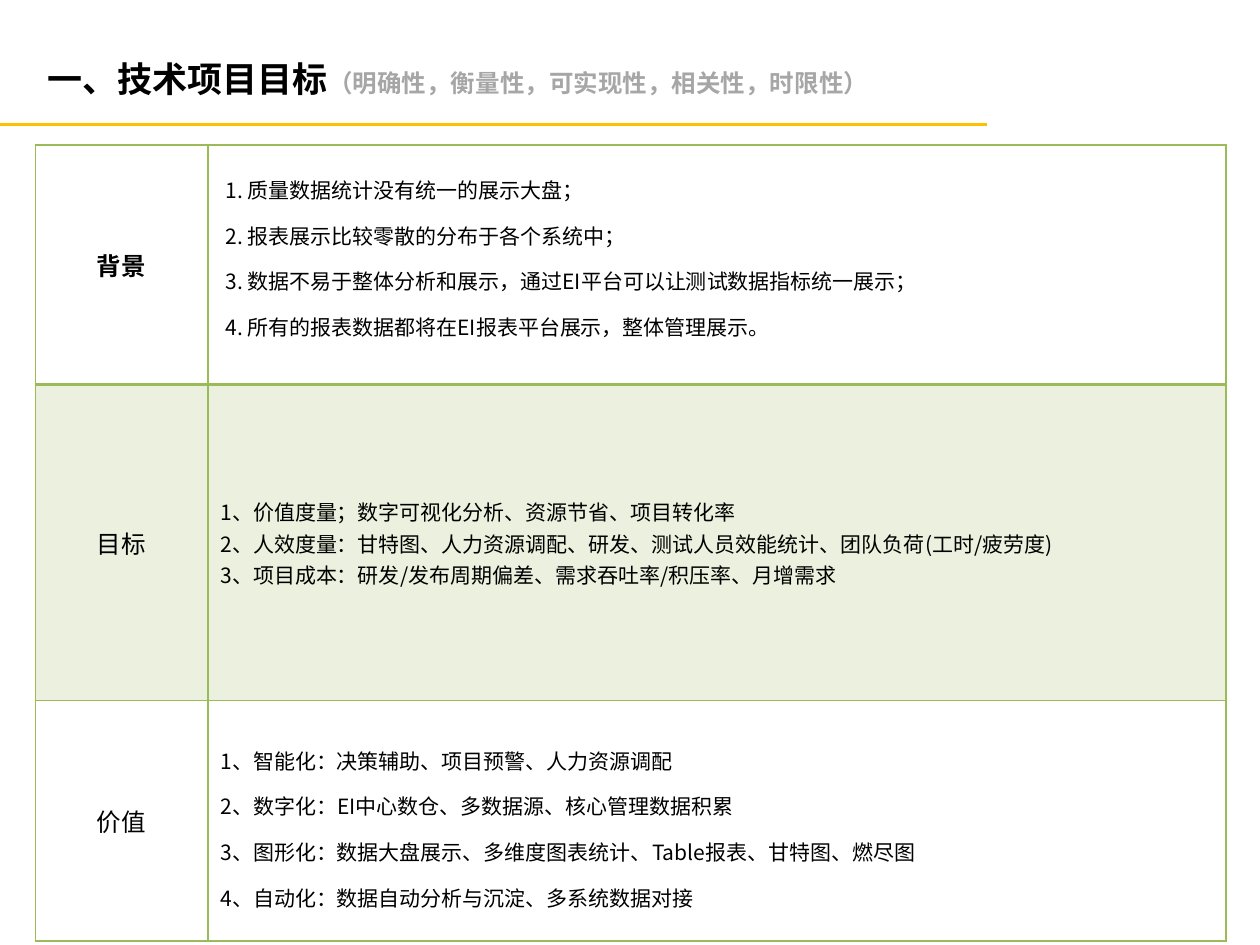
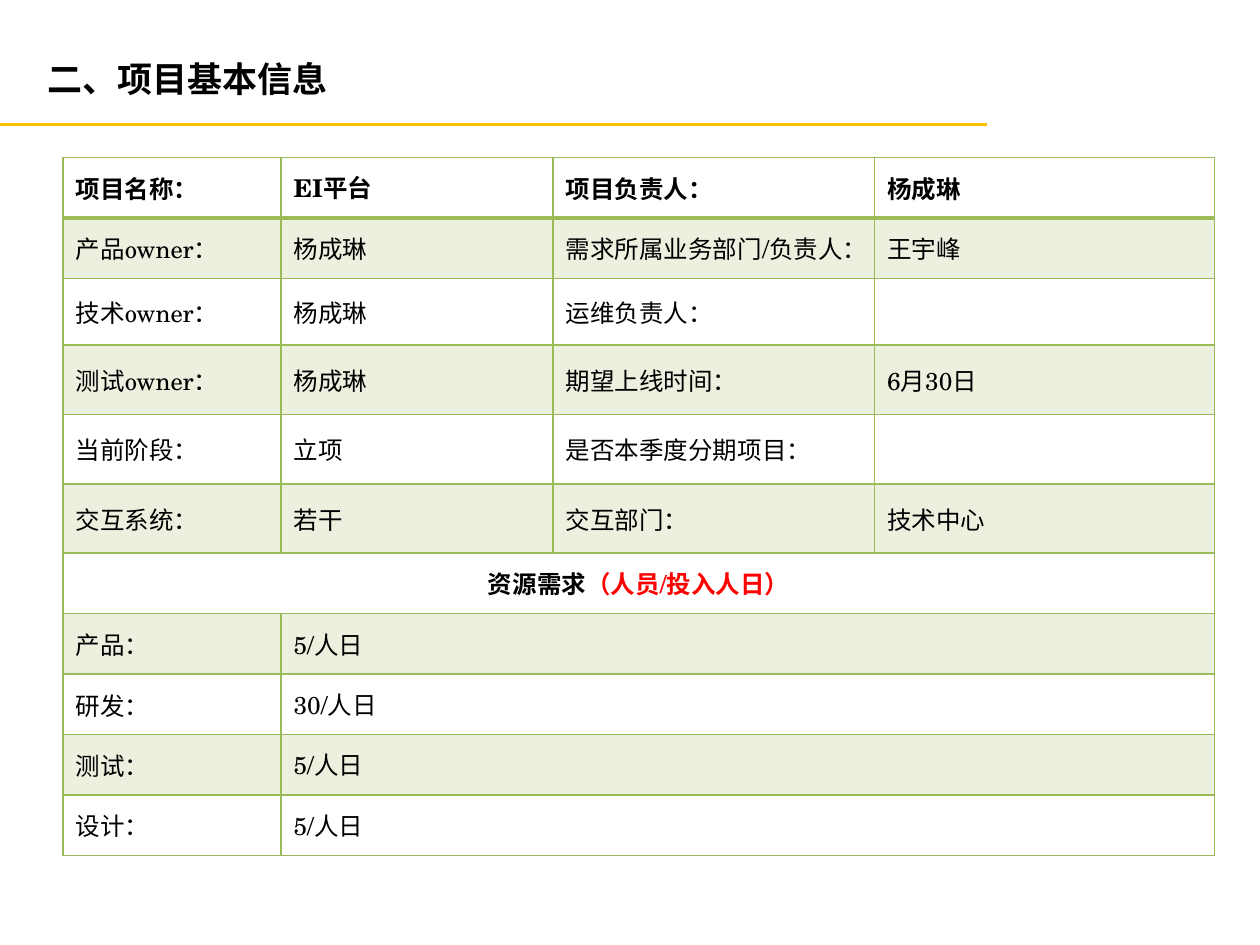
from lxml import etree
from pptx import Presentation
from pptx.dml.color import RGBColor
from pptx.enum.shapes import MSO_CONNECTOR
from pptx.enum.text import MSO_ANCHOR, PP_ALIGN
from pptx.oxml.ns import qn
from pptx.util import Inches, Pt

STRAIGHT = MSO_CONNECTOR.STRAIGHT
MIDDLE = MSO_ANCHOR.MIDDLE
LEFT, CENTER = PP_ALIGN.LEFT, PP_ALIGN.CENTER

BLACK = RGBColor(0x00, 0x00, 0x00)
WHITE = RGBColor(0xFF, 0xFF, 0xFF)
GREY = RGBColor(0xA6, 0xA6, 0xA6)
RED = RGBColor(0xFF, 0x00, 0x00)
AMBER = RGBColor(0xFF, 0xC0, 0x00)
GREEN = RGBColor(0x9B, 0xBB, 0x59)
PALE_GREEN = RGBColor(0xEB, 0xF1, 0xDE)

SANS = "Noto Sans CJK SC"
SERIF = "TeX Gyre Schola"
SLIDE_WIDTH, SLIDE_HEIGHT = Inches(10), Inches(7.5)
THIN, HEAVY = Pt(1), Pt(2)

# Slide 1: row label, lines of text, line spacing, cell margins
GOALS = [
    ("背景", ["1. 质量数据统计没有统一的展示大盘；",
            "2. 报表展示比较零散的分布于各个系统中；",
            "3. 数据不易于整体分析和展示，通过EI平台可以让测试数据指标统一展示；",
            "4. 所有的报表数据都将在EI报表平台展示，整体管理展示。"],
     1.5, {"margin_left": Inches(0.14), "margin_bottom": Inches(0.28)}),
    ("目标", ["1、价值度量；数字可视化分析、资源节省、项目转化率",
            "2、人效度量：甘特图、人力资源调配、研发、测试人员效能统计、团队负荷(工时/疲劳度)",
            "3、项目成本：研发/发布周期偏差、需求吞吐率/积压率、月增需求"],
     Pt(18), {}),
    ("价值", ["1、智能化：决策辅助、项目预警、人力资源调配",
            "2、数字化：EI中心数仓、多数据源、核心管理数据积累",
            "3、图形化：数据大盘展示、多维度图表统计、Table报表、甘特图、燃尽图",
            "4、自动化：数据自动分析与沉淀、多系统数据对接"],
     1.5, {}),
]

# Slide 2: facts in four columns, then resources in two
FACTS = [
    ("项目名称：", "EI平台", "项目负责人：", "杨成琳"),
    ("产品owner：", "杨成琳", "需求所属业务部门/负责人：", "王宇峰"),
    ("技术owner：", "杨成琳", "运维负责人：", ""),
    ("测试owner：", "杨成琳", "期望上线时间：", "6月30日"),
    ("当前阶段：", "立项", "是否本季度分期项目：", ""),
    ("交互系统：", "若干", "交互部门：", "技术中心"),
]
RESOURCES = [("产品：", "5/人日"), ("研发：", "30/人日"),
             ("测试：", "5/人日"), ("设计：", "5/人日")]


def set_values(target, values):
    for name, value in values.items():
        setattr(target, name, value)


def add_span(para, text, size, color=BLACK, bold=False, latin=SANS):
    span = para.add_run()
    span.text = text
    set_values(span.font, {"size": Pt(size), "bold": bold, "name": latin})
    span.font.color.rgb = color
    east_asian = etree.SubElement(span.font._element, qn("a:ea"))
    east_asian.set("typeface", SANS)


def add_page(deck, *title_spans):
    """Blank page with the shared title and amber rule."""
    page = deck.slides.add_slide(deck.slide_layouts[6])
    rule_y = int(SLIDE_HEIGHT * 0.132)
    rule = page.shapes.add_connector(
        STRAIGHT, 0, rule_y, int(SLIDE_WIDTH * 0.783), rule_y)
    rule.line.color.rgb = AMBER
    rule.line.width = Pt(1.5)
    etree.SubElement(rule._element.spPr, qn("a:effectLst"))

    box = page.shapes.add_textbox(
        Inches(0.28), 0, int(SLIDE_WIDTH * 0.9), SLIDE_HEIGHT // 6)
    set_values(box.text_frame, {"word_wrap": True, "vertical_anchor": MIDDLE})
    for text, size, color in title_spans:
        add_span(box.text_frame.paragraphs[0], text, size, color, bold=True)
    return page


def add_border(cell, side, width):
    line = etree.SubElement(cell._tc.get_or_add_tcPr(), qn(f"a:ln{side}"),
                            w=str(int(width)))
    fill = etree.SubElement(line, qn("a:solidFill"))
    etree.SubElement(fill, qn("a:srgbClr"), val=str(GREEN))


def add_grid(page, left, top, columns, rows):
    """Green-ruled table with pale odd rows and a heavy line under row 0."""
    frame = page.shapes.add_table(
        len(rows), len(columns), Inches(left), Inches(top),
        Inches(sum(columns)), Inches(sum(rows)))
    table = frame.table
    set_values(table, {"first_row": False, "horz_banding": False})
    for column, width in zip(table.columns, columns):
        column.width = Inches(width)
    for index, (row, height) in enumerate(zip(table.rows, rows)):
        row.height = Inches(height)
        widths = {"L": THIN, "R": THIN,
                  "T": HEAVY if index == 1 else THIN,
                  "B": HEAVY if index == 0 else THIN}
        for cell in row.cells:
            for side, width in widths.items():
                add_border(cell, side, width)
            cell.fill.solid()
            cell.fill.fore_color.rgb = PALE_GREEN if index % 2 else WHITE
            cell.vertical_anchor = MIDDLE
    return table


def write_cell(cell, lines, size=14, align=LEFT, spacing=None, **font):
    for index, line in enumerate(lines):
        frame = cell.text_frame
        para = frame.add_paragraph() if index else frame.paragraphs[0]
        set_values(para, {"alignment": align, "line_spacing": spacing})
        if line:
            add_span(para, line, size, **font)


def build_goals(deck):
    page = add_page(deck, ("一、技术项目目标", 20, BLACK),
                    ("（明确性，衡量性，可实现性，相关性，时限性）", 14, GREY))
    table = add_grid(page, 0.28, 1.15, [1.37, 8.08], [1.9, 2.51, 1.91])
    for index, (label, lines, spacing, margins) in enumerate(GOALS):
        write_cell(table.cell(index, 0), [label], align=CENTER,
                   bold=index == 0)
        body = table.cell(index, 1)
        set_values(body, margins)
        write_cell(body, lines, size=12, spacing=spacing)


def build_facts(deck):
    page = add_page(deck, ("二、项目基本信息", 20, BLACK))
    heights = [0.48] * 2 + [0.53] + [0.55] * 3 + [0.48] * 5
    table = add_grid(page, 0.5, 1.25, [1.73, 2.16, 2.55, 2.7], heights)
    for row, texts in enumerate(FACTS):
        for column, text in enumerate(texts):
            cell = table.cell(row, column)
            if column == 2:
                cell.margin_right = 0  # room for the longest label
            write_cell(cell, [text], bold=row == 0, latin=SERIF)

    # Resource heading across the table
    heading_row = len(FACTS)
    heading = table.cell(heading_row, 0)
    heading.merge(table.cell(heading_row, 3))
    write_cell(heading, ["资源需求"], align=CENTER, bold=True, latin=SERIF)
    add_span(heading.text_frame.paragraphs[0], "（人员/投入人日）", 14, RED,
             bold=True, latin=SERIF)

    # Resource rows
    for row, (role, effort) in enumerate(RESOURCES, heading_row + 1):
        amount = table.cell(row, 1)
        amount.merge(table.cell(row, 3))
        write_cell(table.cell(row, 0), [role], latin=SERIF)
        write_cell(amount, [effort], latin=SERIF)


def main():
    deck = Presentation()
    set_values(deck, {"slide_width": SLIDE_WIDTH,
                      "slide_height": SLIDE_HEIGHT})
    build_goals(deck)
    build_facts(deck)
    deck.save("out.pptx")


if __name__ == "__main__":
    main()
